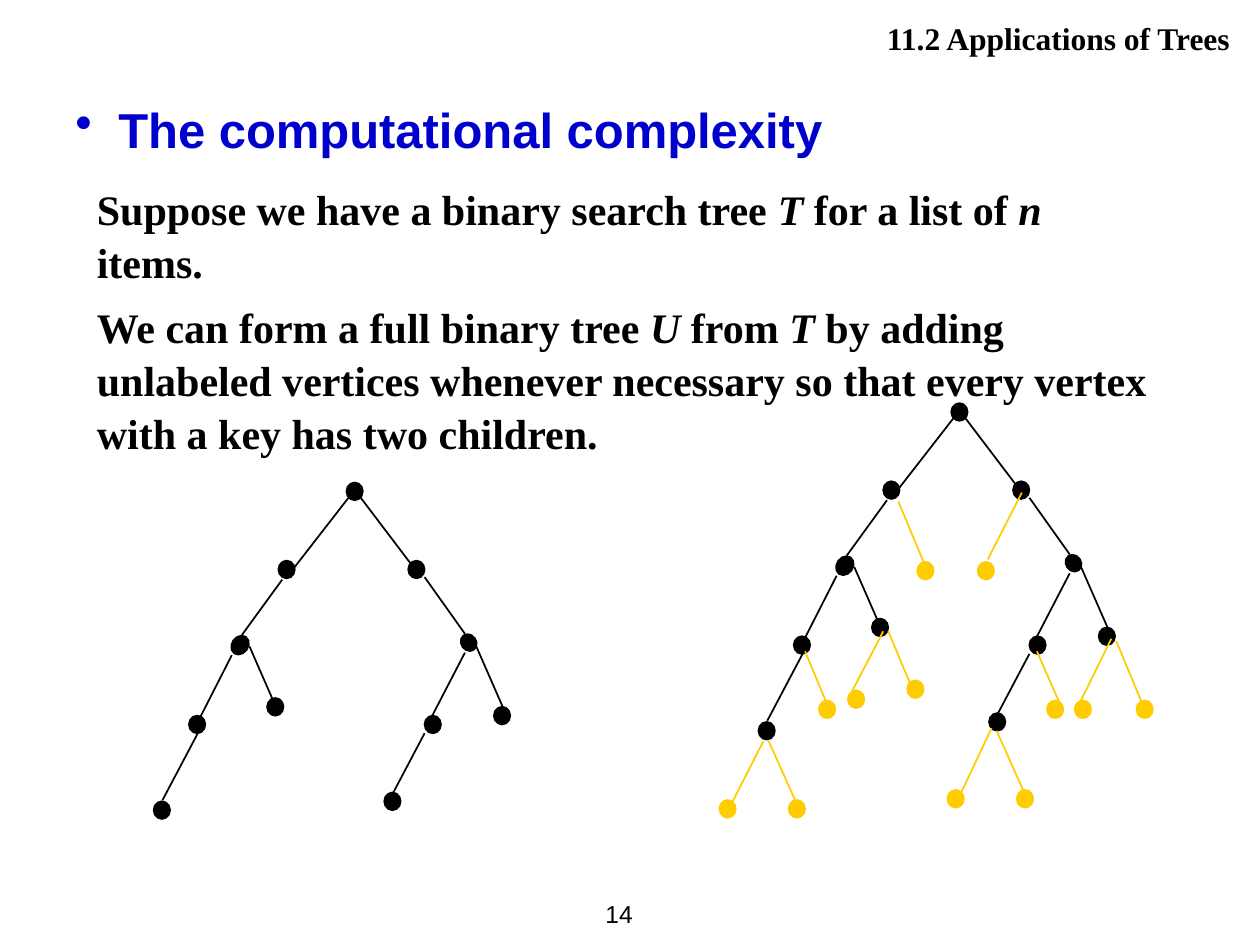
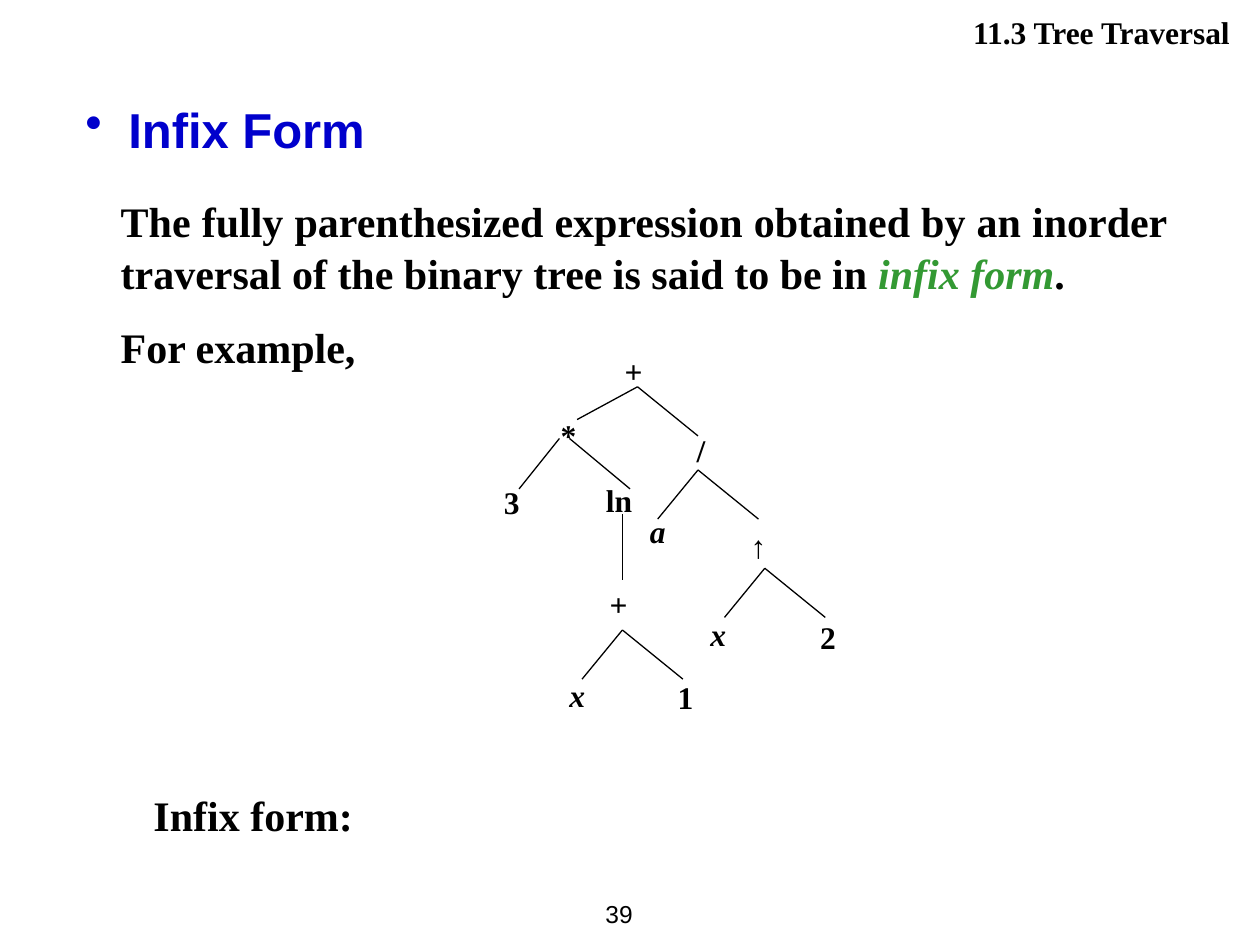
import pptx
import pptx.util
import pptx.dml.color
import pptx.enum.shapes
import pptx.enum.text
import pptx.oxml.ns
from lxml import etree

PX = 9144  # one px is a hundredth of an inch
COLORS = {"ink": "000000", "title": "0000CC", "term": "339933", "added": "FFCC00"}
SERIF, SANS = "Times New Roman", "Arial"
ALIGN = pptx.enum.text.PP_ALIGN
SHAPE = pptx.enum.shapes.MSO_SHAPE
LINE = pptx.enum.shapes.MSO_CONNECTOR.STRAIGHT


def write(slide, box, paras, size=24, font=SERIF, bold=True, color="ink", term="ink",
          align=ALIGN.LEFT, gap=0, left=0, bullet=None):
    """Add a text box; words between underscores are italic in the term colour."""
    frame = slide.shapes.add_textbox(*[v * PX for v in box]).text_frame
    frame.word_wrap = True
    for i, text in enumerate(paras):
        para = frame.paragraphs[0] if i == 0 else frame.add_paragraph()
        props = para._p.get_or_add_pPr()
        props.set("marL", str(left * PX))
        if bullet:
            props.set("indent", str(-left * PX))
            etree.SubElement(props, pptx.oxml.ns.qn("a:buChar")).set("char", bullet)
        form = {"alignment": align, "line_spacing": 1.05,
                "space_before": pptx.util.Pt(gap if i else 0)}
        for key, value in form.items():
            setattr(para, key, value)
        for j, part in enumerate(text.split("_")):
            if not part:
                continue
            run = para.add_run()
            run.text = part
            slant = j % 2 == 1
            form = {"name": font, "size": pptx.util.Pt(size), "bold": bold, "italic": slant}
            for key, value in form.items():
                setattr(run.font, key, value)
            run.font.color.rgb = pptx.dml.color.RGBColor.from_string(
                COLORS[term if slant else color])
    return frame


def join(slide, ends, color="ink", width=1):
    """Draw one tree edge."""
    edge = slide.shapes.add_connector(LINE, *[v * PX for v in ends])
    edge.line.color.rgb = pptx.dml.color.RGBColor.from_string(COLORS[color])
    edge.line.width = pptx.util.Pt(width)
    etree.SubElement(edge._element.spPr, pptx.oxml.ns.qn("a:effectLst"))


deck = pptx.Presentation()
deck.slide_width, deck.slide_height = 1000 * PX, 750 * PX

# Shared frame: page number, heading, section name
pages = [
    ("14", "The computational complexity", 50, "11.2 Applications of Trees", 9),
    ("39", "Infix Form", 58, "11.3 Tree Traversal", 4),
]
slides = []
for number, title, x, section, y in pages:
    slide = deck.slides.add_slide(deck.slide_layouts[6])
    slides.append(slide)
    foot = write(slide, (445, 700, 67, 50), [number], size=14, font=SANS, bold=False,
                 align=ALIGN.RIGHT)
    foot.vertical_anchor = pptx.enum.text.MSO_ANCHOR.MIDDLE
    write(slide, (x, 72, 875, 60), [title], size=28, font=SANS, color="title",
          left=34, bullet="•")
    write(slide, (398, y, 588, 40), [section], size=18, align=ALIGN.RIGHT)
growth, infix = slides

# Slide 1: text
write(growth, (67, 139, 858, 182), [
    "Suppose we have a binary search tree _T_ for a list of _n_ items.",
    "We can form a full binary tree _U_ from _T_ by adding unlabeled vertices "
    "whenever necessary so that every vertex with a key has two children.",
], gap=7)

# Slide 1: tree T, drawn again as the core of U; a dot is x, y, width, height, turn
core_dots = [
    (275, 383, 13, 14, 0), (221, 445, 13, 14, 0), (324, 445, 13, 14, 0),
    (184, 504, 13, 16, 35.2), (366, 503, 12, 14, 324.8),
    (150, 568, 13, 14, 0), (212, 554, 13, 14, 0), (337, 568, 13, 14, 0),
    (392, 561, 13, 14, 0), (122, 636, 13, 14, 0), (305, 629, 13, 14, 0),
]
core_edges = [
    (279, 392, 230, 455), (284, 392, 328, 450), (224, 460, 192, 504),
    (337, 458, 369, 503), (184, 520, 157, 573), (198, 513, 219, 561),
    (369, 518, 341, 572), (378, 513, 399, 561), (157, 582, 129, 635),
    (337, 582, 309, 635),
]
# Vertices and edges added to make U
new_dots = [(x, y, 13, 14, 0) for x, y in [
    (728, 446), (776, 446), (673, 548), (720, 540), (650, 556), (626, 635),
    (571, 635), (807, 627), (752, 627), (902, 556), (853, 556), (831, 556)]]
new_edges = [
    (713, 398, 733, 446), (811, 391, 784, 444), (701, 501, 673, 555),
    (705, 501, 725, 549), (639, 517, 659, 565), (610, 588, 631, 635),
    (606, 588, 579, 641), (791, 580, 812, 627), (787, 578, 760, 635),
    (886, 509, 906, 557), (882, 507, 854, 564), (823, 517, 844, 565),
]
trees = [
    (0, 0, core_dots, core_edges, "ink"),
    (480, -63, core_dots, core_edges, "ink"),
    (0, 0, new_dots, new_edges, "added"),
]
for dx, dy, dots, edges, color in trees:
    for x1, y1, x2, y2 in edges:
        join(growth, (x1 + dx, y1 + dy, x2 + dx, y2 + dy), color)
    for x, y, w, h, turn in dots:
        dot = growth.shapes.add_shape(SHAPE.OVAL, (x + dx) * PX, (y + dy) * PX, w * PX, h * PX)
        dot.rotation = turn
        dot.shadow.inherit = False
        dot.fill.solid()
        dot.line.width = pptx.util.Pt(1)
        for paint in (dot.fill.fore_color, dot.line.color):
            paint.rgb = pptx.dml.color.RGBColor.from_string(COLORS[color])

# Slide 2: text
write(infix, (48, 148, 888, 157), [
    "The fully parenthesized expression obtained by an inorder traversal of the "
    "binary tree is said to be in _infix form_.",
    "For example,",
], term="term", align=ALIGN.JUSTIFY, gap=12, left=38)
write(infix, (112, 620, 277, 55), ["Infix form:"])

# Slide 2: expression tree
labels = [
    ("+", 486, 273), ("*", 435, 324), ("/", 543, 336), ("3", 390, 377),
    ("ln", 471, 375), ("_a_", 506, 400), ("↑", 586, 412), ("+", 474, 458),
    ("_x_", 554, 482), ("2", 641, 484), ("_x_", 442, 530), ("1", 528, 532),
]
for label, x, y in labels:
    write(infix, (x, y, 48, 39), [label], size=18)
links = [(506, 307, 458, 333), (506, 307, 554, 346), (444, 348, 412, 388),
         (452, 348, 500, 388), (494, 408, 494, 460)]
for x, y in [(554, 373), (607, 451), (494, 500)]:
    links += [(x, y, x - 32, y + 39), (x, y, x + 48, y + 39)]
for ends in links:
    join(infix, ends, width=0.75)

deck.save("out.pptx")
